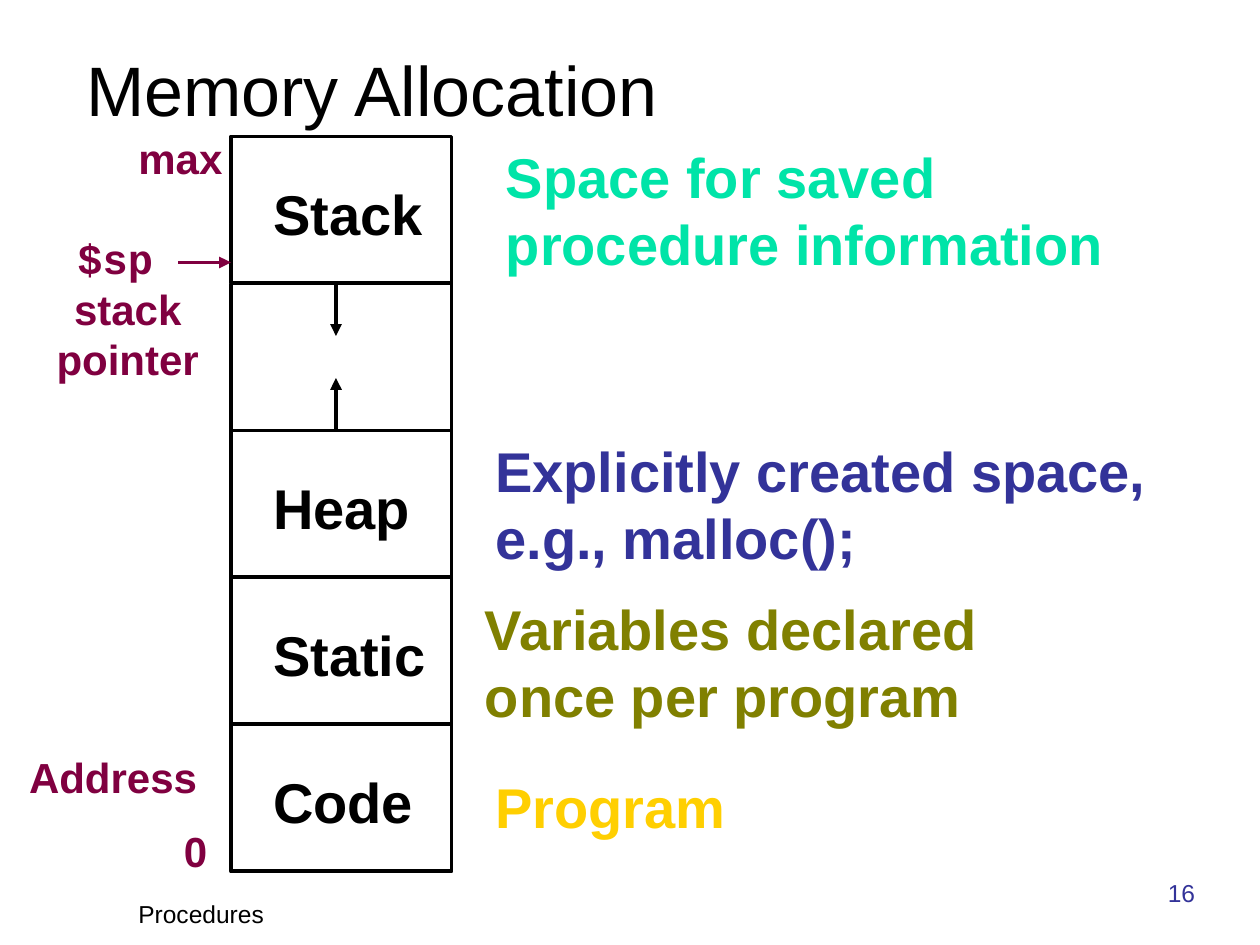
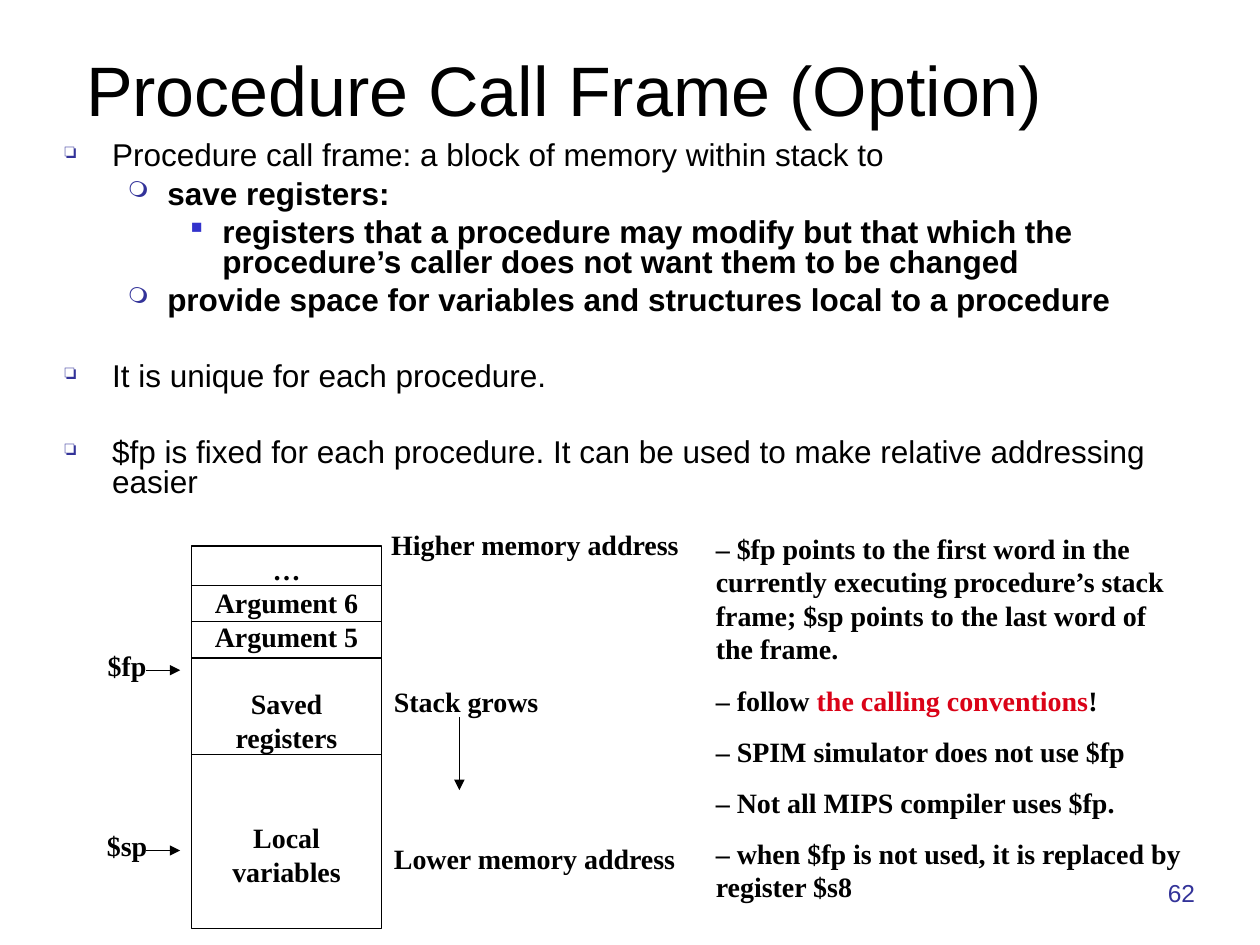
from lxml.etree import SubElement
from pptx import Presentation
from pptx.dml.color import RGBColor
from pptx.enum.shapes import MSO_CONNECTOR, MSO_SHAPE
from pptx.enum.text import MSO_ANCHOR, MSO_AUTO_SIZE, PP_ALIGN
from pptx.oxml.ns import qn
from pptx.util import Pt


class Theme:
    black = RGBColor.from_string("000000")
    navy = RGBColor.from_string("333399")
    bullet_blue = RGBColor.from_string("3333CC")
    maroon = RGBColor.from_string("800040")
    mint = RGBColor.from_string("00E4A8")
    olive = RGBColor.from_string("808000")
    gold = RGBColor.from_string("FFCF01")
    red = RGBColor.from_string("DA0217")
    title = {"name": "Arial", "size": Pt(40), "bold": False}
    region = {"name": "Arial", "size": Pt(32), "bold": True}
    address = {"name": "Arial", "size": Pt(24), "bold": True}
    bullet = {"name": "Arial", "size": Pt(18), "bold": False}
    footer = {"name": "Arial", "size": Pt(14), "bold": False}
    frame = {"name": "Times New Roman", "size": Pt(16), "bold": True}
    thick, thin = Pt(2.25), Pt(0.75)


def write(target, lines, font, colour=Theme.black, align=PP_ALIGN.LEFT, anchor=MSO_ANCHOR.TOP):
    """Fill a text frame; a line is a string or a list of (text, colour, font) runs."""
    frame_values = {"margin_left": Pt(7.2), "margin_right": Pt(7.2), "margin_top": Pt(3.6),
                    "margin_bottom": Pt(3.6), "vertical_anchor": anchor,
                    "word_wrap": True, "auto_size": MSO_AUTO_SIZE.NONE}
    for key, value in frame_values.items():
        setattr(target.text_frame, key, value)
    for index, line in enumerate(lines):
        paragraph = target.text_frame.paragraphs[0] if index == 0 else target.text_frame.add_paragraph()
        paragraph.alignment = align
        for words, run_colour, run_font in [(line, colour, font)] if isinstance(line, str) else line:
            run = paragraph.add_run()
            run.text = words
            run.font.color.rgb = run_colour
            for key, value in run_font.items():
                setattr(run.font, key, value)
    return target.text_frame.paragraphs


def draw_line(slide, start, end, width, colour=Theme.black, arrow=False):
    line = slide.shapes.add_connector(MSO_CONNECTOR.STRAIGHT, *map(Pt, start + end))
    line.line.color.rgb = colour
    line.line.width = width
    if arrow:
        SubElement(line.line._get_or_add_ln(), qn("a:tailEnd"), type="triangle")
    SubElement(line._element.spPr, qn("a:effectLst"))


deck = Presentation()
deck.slide_width, deck.slide_height = Pt(720), Pt(540)

# Titles and slide numbers
slides = []
for heading, number in [("Memory Allocation", "16"), ("Procedure Call Frame (Option)", "62")]:
    slide = deck.slides.add_slide(deck.slide_layouts[5])
    title = slide.shapes.title
    for key, value in {"left": 42, "top": 43, "width": 642, "height": 35}.items():
        setattr(title, key, Pt(value))
    write(title, [heading], Theme.title, anchor=MSO_ANCHOR.BOTTOM)
    page = slide.shapes.add_textbox(Pt(600), Pt(498), Pt(90), Pt(24))
    write(page, [number], Theme.footer, Theme.navy, PP_ALIGN.RIGHT, MSO_ANCHOR.BOTTOM)
    slides.append(slide)
memory, call_frame = slides

# Memory map: five equal bands, the second one left open
footer = memory.shapes.add_textbox(Pt(72), Pt(510), Pt(150), Pt(24))
write(footer, ["Procedures"], Theme.footer, anchor=MSO_ANCHOR.BOTTOM)
map_left, map_right, map_top, band = 132, 258, 78, 84
regions = [
    (0, "Stack", ["Space for saved", "procedure information"], Theme.mint, (282, 78, 370)),
    (2, "Heap", ["Explicitly created space,", "e.g., malloc();"], Theme.navy, (276, 246, 410)),
    (3, "Static", ["Variables declared", "once per program"], Theme.olive, (270, 336, 310)),
    (4, "Code", ["Program"], Theme.gold, (276, 438, 160)),
]
for row, region, purpose, colour, (left, top, width) in regions:
    band_top = map_top + row * band
    block = memory.shapes.add_shape(MSO_SHAPE.RECTANGLE, Pt(map_left), Pt(band_top),
                                    Pt(map_right - map_left), Pt(band))
    block.shadow.inherit = False
    block.fill.background()
    block.line.color.rgb = Theme.black
    block.line.width = Theme.thick
    name = memory.shapes.add_textbox(Pt(149), Pt(band_top + 21), Pt(109), Pt(46))
    write(name, [region], Theme.region)
    note = memory.shapes.add_textbox(Pt(left), Pt(top), Pt(width), Pt(7.2 + 38.5 * len(purpose)))
    write(note, purpose, Theme.region, colour)
for side in (map_left, map_right):
    draw_line(memory, (side, 162), (side, 252), Theme.thick)

# Stack and heap grow towards each other
for start, end in [(162, 192), (246, 216)]:
    draw_line(memory, (192, start), (192, end), Theme.thick, arrow=True)

# Addresses and stack pointer
for label, left, top, width in [("0", 98, 468, 32), ("max", 72, 72, 70), ("Address", 9.5, 426, 120)]:
    address = memory.shapes.add_textbox(Pt(left), Pt(top), Pt(width), Pt(36))
    write(address, [label], Theme.address, Theme.maroon)
pointer = memory.shapes.add_textbox(Pt(20), Pt(129.5), Pt(106), Pt(93.5))
write(pointer, [[("$sp ", Theme.maroon, Theme.address | {"name": "Courier New"})], "stack", "pointer"],
      Theme.address, Theme.maroon, PP_ALIGN.CENTER)
draw_line(memory, (102, 150), (132, 150), Theme.thick, Theme.maroon, arrow=True)

# Call frame bullets: level, space before, text
levels = [("❏", Theme.navy, 65, 27, 27), ("❍", Theme.navy, 70, 58.5, 22.5),
          ("■", Theme.bullet_blue, 50, 90, 18)]
points = [
    (0, 0, "Procedure call frame: a block of memory within stack to"),
    (1, 4.5, "save registers:"),
    (2, 4.5, "registers that a procedure may modify but that which the procedure’s caller "
             "does not want them to be changed"),
    (1, 4.5, "provide space for variables and structures local to a procedure"),
    (0, 26, "It is unique for each procedure."),
    (0, 26, "$fp is fixed for each procedure. It can be used to make relative addressing easier"),
]
outline = call_frame.shapes.add_textbox(Pt(30), Pt(78), Pt(660), Pt(222))
lines = [[(words, Theme.black, Theme.bullet | {"bold": level > 0})] for level, gap, words in points]
for paragraph, (level, gap, words) in zip(write(outline, lines, Theme.bullet), points):
    mark, colour, percent, margin, hanging = levels[level]
    properties = paragraph._p.get_or_add_pPr()
    properties.set("marL", str(Pt(margin)))
    properties.set("indent", str(-Pt(hanging)))
    SubElement(SubElement(properties, qn("a:buClr")), qn("a:srgbClr"), val=str(colour))
    SubElement(properties, qn("a:buSzPct"), val=str(percent * 1000))
    SubElement(properties, qn("a:buChar"), char=mark)
    for key, value in {"level": level, "line_spacing": 0.8, "space_before": Pt(gap)}.items():
        setattr(paragraph, key, value)

# Stack frame with its divisions
frame_left, frame_right = 109.5, 218
stack = call_frame.shapes.add_shape(MSO_SHAPE.RECTANGLE, Pt(frame_left), Pt(312),
                                    Pt(frame_right - frame_left), Pt(218.5))
stack.shadow.inherit = False
stack.fill.background()
stack.line.color.rgb = Theme.black
stack.line.width = Theme.thin
contents = ["…", "Argument 6", "Argument 5", "Saved registers", "Local variables"]
parts = write(stack, contents, Theme.frame, align=PP_ALIGN.CENTER)
for part, gap in zip(parts, [0, 0, 0, 19.2, 38.4]):
    part.space_before = Pt(gap)
for level in (334.5, 355, 376, 431):
    draw_line(call_frame, (frame_left, level), (frame_right, level), Theme.thin)

# Labels around the frame
for label, left, top, width in [
    ("Higher memory address", 216.5, 298, 186), ("Stack grows", 218, 387.5, 105),
    ("Lower memory address", 218, 477.5, 184), ("$fp", 54.5, 367, 45), ("$sp", 54, 470, 45),
]:
    caption = call_frame.shapes.add_textbox(Pt(left), Pt(top), Pt(width), Pt(26.5))
    write(caption, [label], Theme.frame)
for start, end in [((262.5, 410), (262.5, 451.5)), ((83.5, 383), (103, 383)), ((83.5, 486), (103, 486))]:
    draw_line(call_frame, start, end, Theme.thin, arrow=True)

# Remarks on the pointers
remarks = call_frame.shapes.add_textbox(Pt(402), Pt(300), Pt(282), Pt(220))
remark_lines = [
    "– $fp points to the first word in the currently executing procedure’s stack frame; "
    "$sp points to the last word of the frame.",
    [("– follow ", Theme.black, Theme.frame), ("the calling conventions", Theme.red, Theme.frame),
     ("!", Theme.black, Theme.frame)],
    "– SPIM simulator does not use $fp",
    "– Not all MIPS compiler uses $fp.",
    "– when $fp is not used, it is replaced by register $s8",
]
for remark in write(remarks, remark_lines, Theme.frame)[1:]:
    remark.space_before = Pt(10)

deck.save("out.pptx")
